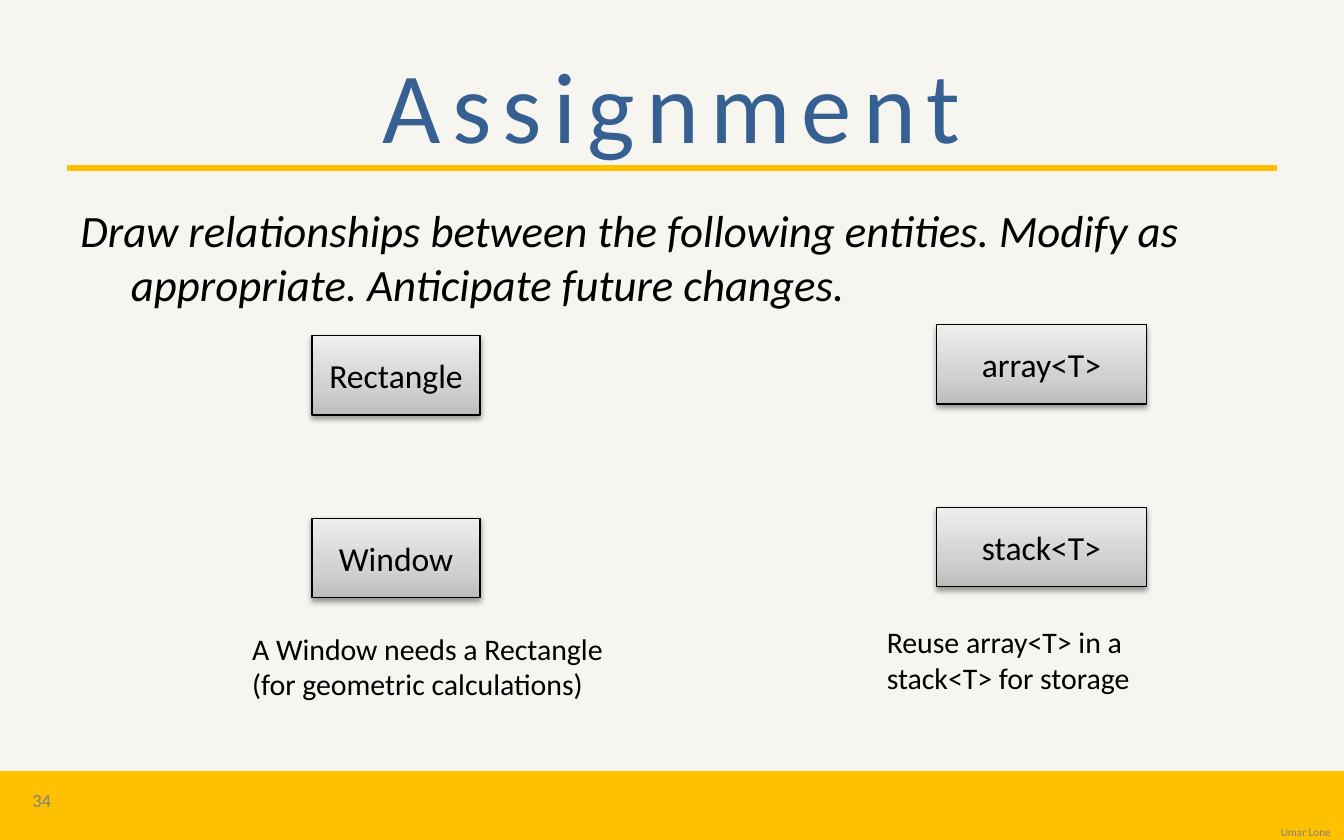
from dataclasses import dataclass, field
from copy import deepcopy

from lxml.etree import SubElement
from pptx import Presentation
from pptx.dml.color import RGBColor
from pptx.enum.shapes import MSO_CONNECTOR, MSO_SHAPE
from pptx.enum.text import MSO_ANCHOR, PP_ALIGN
from pptx.oxml.ns import qn
from pptx.util import Pt

GOLD, GREY, BLACK, BLUE = "FFC000", "808080", "000000", "376092"
GRADIENT = [(0, "BDBDBD"), (0.35, "D1D1D1"), (1, "EEEEEE")]
BOX_HEIGHT, BOX_STEP = 42.5, 97.9


@dataclass
class Span:
    """A run of text and its font format."""
    text: str
    size: float
    color: str = BLACK
    style: dict = field(default_factory=dict)


@dataclass
class Label:
    """A text box given by left, top, width and height."""
    area: tuple
    span: Span
    align: PP_ALIGN = PP_ALIGN.LEFT
    anchor: MSO_ANCHOR = MSO_ANCHOR.TOP


@dataclass
class Pair:
    """Two entity boxes, one above the other."""
    left: float
    top: float
    width: float
    names: tuple


def paint(target, color: str) -> None:
    """Give a fill a solid colour."""
    target.solid()
    target.fore_color.rgb = RGBColor.from_string(color)


def write(shape, span: Span, align: PP_ALIGN, anchor: MSO_ANCHOR):
    """Write one formatted paragraph into a shape and return it."""
    frame = shape.text_frame
    frame.word_wrap = True
    frame.vertical_anchor = anchor
    para = frame.paragraphs[0]
    para.alignment = align
    run = para.add_run()
    run.text = span.text
    formats = {"name": "Calibri", "size": Pt(span.size), **span.style}
    for name, value in formats.items():
        setattr(run.font, name, value)
    paint(run.font.fill, span.color)
    return para


def add_label(page, label: Label):
    """Add a text box and return its paragraph."""
    box = page.shapes.add_textbox(*map(Pt, label.area))
    return write(box, label.span, label.align, label.anchor)


def add_block(page, area: tuple, color: str, weight: float):
    """Add a rectangle whose fill and outline share a colour."""
    block = page.shapes.add_shape(MSO_SHAPE.RECTANGLE, *map(Pt, area))
    block.shadow.inherit = False
    paint(block.fill, color)
    paint(block.line.fill, color)
    block.line.width = Pt(weight)
    return block


def add_rule(page, left: float, right: float, top: float) -> None:
    """Add the line below the title."""
    rule = page.shapes.add_connector(MSO_CONNECTOR.STRAIGHT, Pt(left), Pt(top), Pt(right), Pt(top))
    paint(rule.line.fill, GOLD)
    rule.line.width = Pt(3)
    SubElement(rule._element.spPr, qn("a:effectLst"))


def shade(box) -> None:
    """Give a box the grey gradient."""
    box.fill.gradient()
    box.fill.gradient_angle = 90
    stops = box.fill._fill._gradFill.find(qn("a:gsLst"))
    stops.append(deepcopy(stops[-1]))
    for stop, (position, color) in zip(box.fill.gradient_stops, GRADIENT):
        stop.position = position
        stop.color.rgb = RGBColor.from_string(color)


def drop_shadow(box) -> None:
    """Give a box a soft shadow below."""
    effects = box._element.spPr.find(qn("a:effectLst"))
    shadow = SubElement(effects, qn("a:outerShdw"), blurRad=str(Pt(3.1)), dist=str(Pt(1.6)),
                        dir="5400000", rotWithShape="0")
    color = SubElement(shadow, qn("a:srgbClr"), val=BLACK)
    SubElement(color, qn("a:alpha"), val="38000")


def add_pair(page, pair: Pair) -> None:
    """Add the boxes of a pair at equal steps."""
    for row, name in enumerate(pair.names):
        area = (pair.left, pair.top + row * BOX_STEP, pair.width, BOX_HEIGHT)
        box = add_block(page, area, BLACK, 0.75)
        shade(box)
        drop_shadow(box)
        write(box, Span(name, 18), PP_ALIGN.CENTER, MSO_ANCHOR.MIDDLE)


LABELS = [
    Label((624.2, 440.6, 95.8, 12.2), Span("Umar Lone", 6, GREY), PP_ALIGN.RIGHT, MSO_ANCHOR.BOTTOM),
    Label((2.2, 416.9, 40.3, 23.8), Span("34", 10, GREY), PP_ALIGN.CENTER, MSO_ANCHOR.MIDDLE),
    Label((468, 330.5, 168.5, 46), Span("Reuse array<T> in a stack<T> for storage", 16)),
    Label((128, 334.1, 202.3, 65.5),
          Span("A Window needs a Rectangle (for geometric calculations)", 16)),
]
TITLE = Label((36, 18, 648, 74.9), Span("Assignment", 54, BLUE), PP_ALIGN.CENTER, MSO_ANCHOR.MIDDLE)
TASK = Label((36, 105.1, 648, 296.6), Span(
    "Draw relationships between the following entities. Modify as appropriate. "
    "Anticipate future changes.", 24, BLACK, {"italic": True}))
PAIRS = [
    Pair(501.8, 174, 112.3, ("array<T>", "stack<T>")),
    Pair(167.2, 179.8, 90, ("Rectangle", "Window")),
]


def main() -> None:
    """Build and save the deck."""
    deck = Presentation()
    deck.slide_width, deck.slide_height = Pt(720), Pt(450)
    page = deck.slides.add_slide(deck.slide_layouts[6])
    paint(page.background.fill, "F6F5F0")
    add_block(page, (0, 414, 720, 36), GOLD, 2)
    add_rule(page, 36, 684, 90)
    title = add_label(page, TITLE)
    title.runs[0].font._element.set("spc", "600")
    task = add_label(page, TASK)
    task.space_before = Pt(4.8)
    for name, value in {"marL": Pt(27), "indent": Pt(-27)}.items():
        task._p.get_or_add_pPr().set(name, str(value))
    for pair in PAIRS:
        add_pair(page, pair)
    for label in LABELS:
        add_label(page, label)
    deck.save("out.pptx")


if __name__ == "__main__":
    main()
